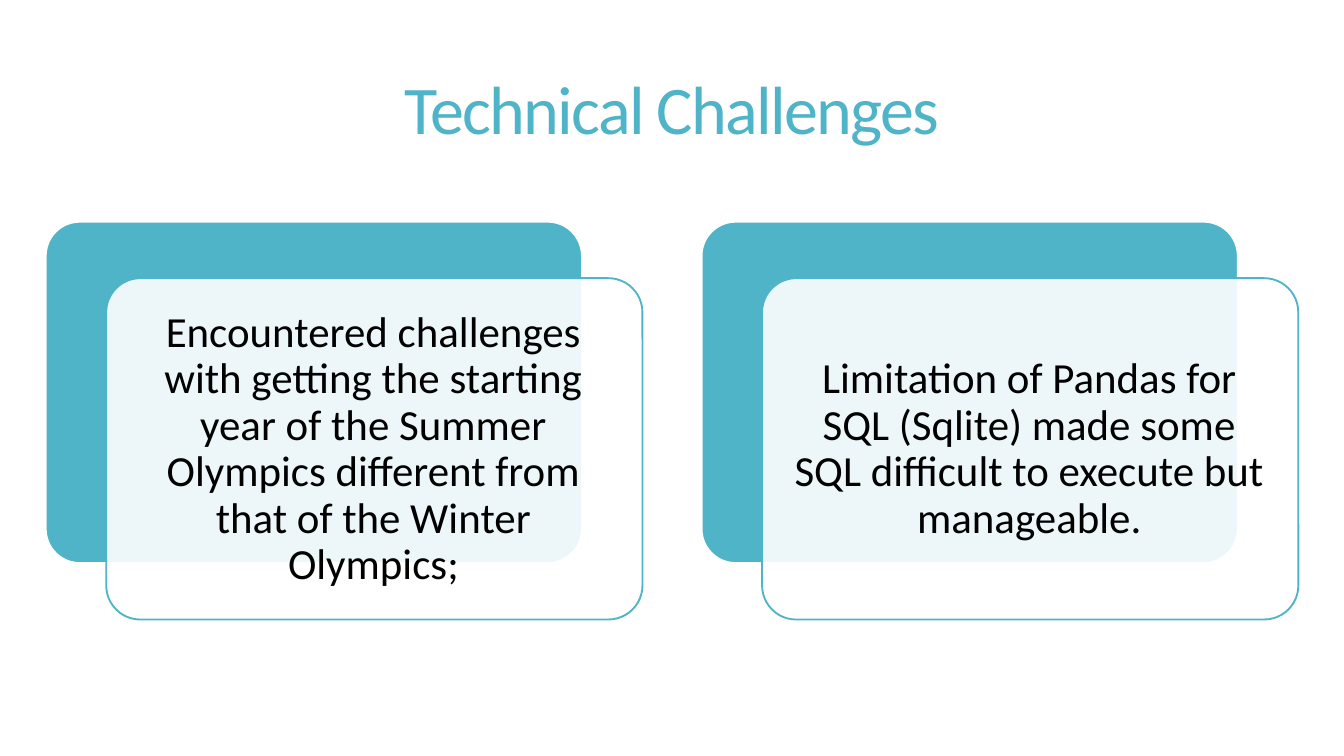
"""Build the Technical Challenges slide with two layered cards."""
from dataclasses import dataclass

from lxml.etree import SubElement
from pptx import Presentation
from pptx.dml.color import RGBColor as RGB
from pptx.enum.shapes import MSO_SHAPE as SHAPE
from pptx.enum.text import MSO_ANCHOR as ANCHOR, PP_ALIGN as ALIGN
from pptx.oxml.ns import qn
from pptx.util import Inches, Pt


@dataclass(frozen=True)
class Theme:
    font: str = "Calibri"
    accent: RGB = RGB(0x50, 0xB4, 0xC8)
    white: RGB = RGB(0xFF, 0xFF, 0xFF)
    black: RGB = RGB(0x00, 0x00, 0x00)
    title_size: float = 36.5
    body_size: float = 23


class SlideBuilder:
    def __init__(self, slide, theme):
        self.s = slide
        self.theme = theme

    def text(self, box, text, size, color, spacing, anchor, tracking=None):
        tf = self.s.shapes.add_textbox(*map(Inches, box)).text_frame
        tf.word_wrap = True
        tf.vertical_anchor = anchor
        tf.margin_left = tf.margin_right = Inches(0.1)
        tf.margin_top = tf.margin_bottom = Inches(0.1)
        p = tf.paragraphs[0]
        p.alignment = ALIGN.CENTER
        p.line_spacing = spacing
        r = p.add_run()
        r.text = text
        r.font.name = self.theme.font
        r.font.size = Pt(size)
        r.font.color.rgb = color
        if tracking is not None:
            r.font._element.set("spc", str(tracking))

    def title(self, text):
        self.text((0.34, 0.49, 9.32, 0.63), text, self.theme.title_size,
                  self.theme.accent, 0.85, ANCHOR.TOP, tracking=-90)

    def panel(self, x, y, fill, line, opacity=100):
        sp = self.s.shapes.add_shape(
            SHAPE.ROUNDED_RECTANGLE, Inches(x), Inches(y), Inches(3.99), Inches(2.54))
        sp.adjustments[0] = 0.1
        sp.shadow.inherit = False
        sp.fill.solid()
        sp.fill.fore_color.rgb = fill
        sp.line.color.rgb = line
        sp.line.width = Pt(1)
        if opacity < 100:
            color = sp._element.spPr.find(qn("a:solidFill")).find(qn("a:srgbClr"))
            SubElement(color, qn("a:alpha"), val=str(opacity * 1000))

    def card(self, x, y, text):
        theme = self.theme
        self.panel(x, y, theme.accent, theme.white)
        self.panel(x + 0.45, y + 0.42, theme.white, theme.accent, opacity=90)
        self.text((x + 0.52, y + 0.5, 3.84, 2.39), text, theme.body_size,
                  theme.black, 0.9, ANCHOR.MIDDLE)


def main():
    prs = Presentation()
    prs.slide_width = Inches(10)
    prs.slide_height = prs.slide_width * 9 // 16
    builder = SlideBuilder(prs.slides.add_slide(prs.slide_layouts[6]), Theme())
    builder.title("Technical Challenges")
    challenges = (
        "Encountered challenges with getting the starting year of the Summer "
        "Olympics different from that of the Winter Olympics;",
        "Limitation of Pandas for SQL (Sqlite) made some SQL difficult to "
        "execute but manageable.",
    )
    for i, challenge in enumerate(challenges):
        builder.card(0.34 + i * 4.88, 1.65, challenge)
    prs.save("out.pptx")


if __name__ == "__main__":
    main()
